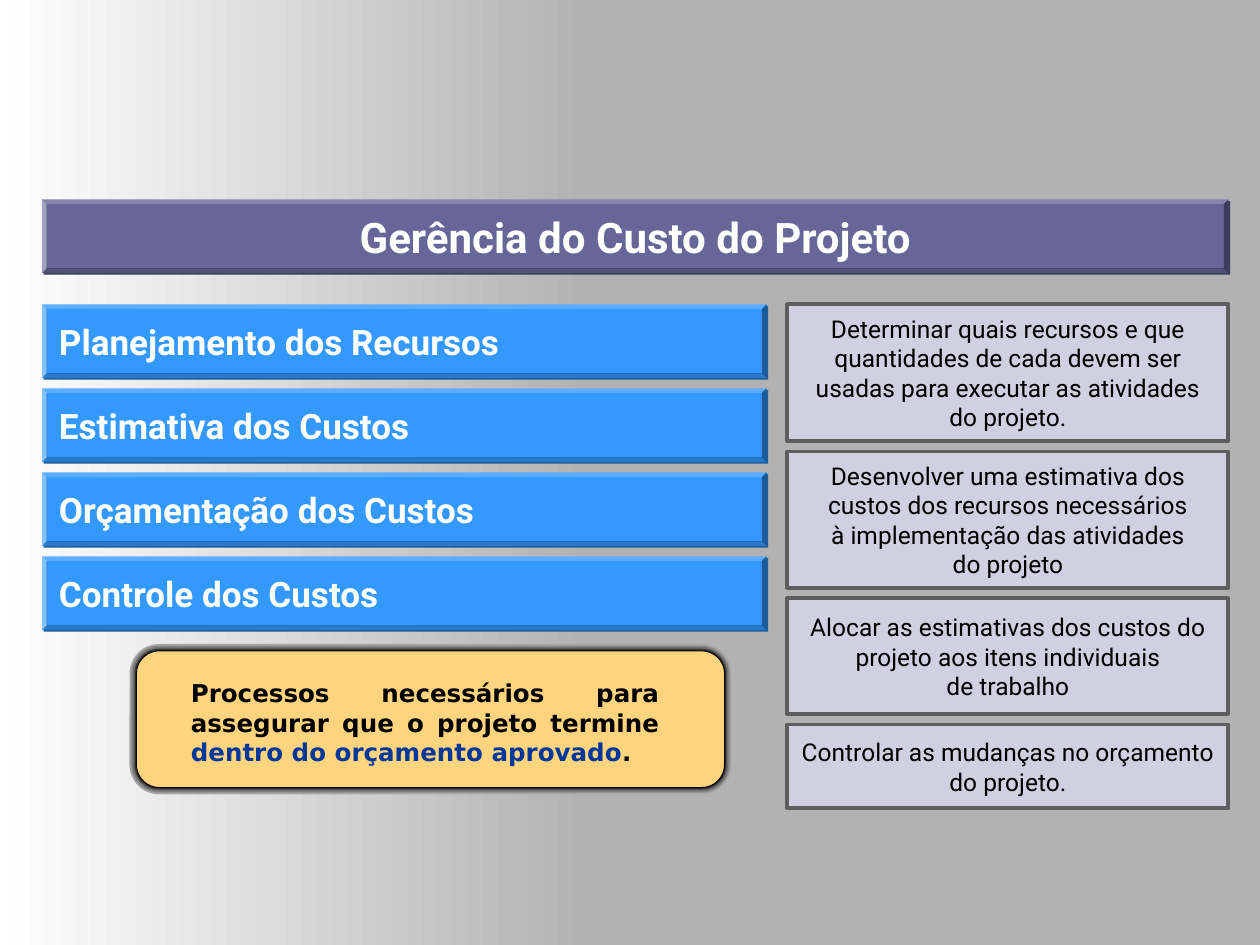
from lxml import etree
from pptx import Presentation
from pptx import util as u
from pptx.dml.color import RGBColor
from pptx.enum import shapes, text
from pptx.oxml import ns

WHITE = RGBColor(0xFF, 0xFF, 0xFF)
BLACK = RGBColor(0x00, 0x00, 0x00)
GREY = RGBColor(0xB2, 0xB2, 0xB2)
PURPLE = RGBColor(0x66, 0x66, 0x99)
PURPLE_SHADE = RGBColor(0x3D, 0x3D, 0x5C)
BLUE = RGBColor(0x33, 0x99, 0xFF)
BLUE_SHADE = RGBColor(0x1F, 0x5C, 0x99)
LILAC = RGBColor(0xD0, 0xD0, 0xE0)
FRAME = RGBColor(0x5E, 0x5E, 0x5E)
GREEN = RGBColor(0x00, 0xCC, 0x99)
AMBER = RGBColor(0xFF, 0xD4, 0x7F)
NAVY = RGBColor(0x00, 0x37, 0x9A)

LEFT, RIGHT = 24, 702
BAR_HEIGHT, BAR_PITCH = 42, 48
COLUMN_TOP, COLUMN_LEFT, COLUMN_GAP = 174, 450, 6

PROCESSES = [
    "Planejamento dos Recursos",
    "Estimativa dos Custos",
    "Orçamentação dos Custos",
    "Controle dos Custos",
]

# Box height and its lines
DESCRIPTIONS = [
    (78, ["Determinar quais recursos e que", "quantidades de cada devem ser",
          "usadas para executar as atividades", "do projeto."]),
    (78, ["Desenvolver uma estimativa dos", "custos dos recursos necessários",
          "à implementação das atividades", "do projeto"]),
    (66, ["Alocar as estimativas dos custos do", "projeto aos itens individuais",
          "de trabalho"]),
    (48, ["Controlar as mudanças no orçamento", "do projeto."]),
]

# Line width and colour, from the outer glow to the inner edge
GLOW = [(8, 0xA7), (6, 0x8A), (4.5, 0x72), (3, 0x5E), (2.25, 0x40), (1.5, 0x29)]


def write(paragraph, wording, size=14, font="Roboto", color=BLACK, bold=False,
          align=text.PP_ALIGN.LEFT):
    paragraph.alignment = align
    run = paragraph.add_run()
    run.text = wording
    run.font.size = u.Pt(size)
    run.font.name = font
    run.font.bold = bold
    run.font.color.rgb = color


class CostSlide:
    """Holds the slide and draws each kind of element in its style."""

    def __init__(self, slide):
        self.slide = slide

    def shape(self, kind, box, fill, line=None, width=0, parent=None):
        owner = parent or self.slide
        drawn = owner.shapes.add_shape(kind, *map(u.Pt, box))
        drawn.shadow.inherit = False
        drawn.fill.solid()
        drawn.fill.fore_color.rgb = fill
        if line is None:
            drawn.line.fill.background()
        else:
            drawn.line.color.rgb = line
            drawn.line.width = u.Pt(width)
        return drawn

    def frame(self, holder):
        frame = holder.text_frame
        frame.word_wrap = False
        frame.auto_size = text.MSO_AUTO_SIZE.NONE
        frame.vertical_anchor = text.MSO_ANCHOR.MIDDLE
        return frame

    def backdrop(self):
        background = self.slide.background.fill
        background.solid()
        background.fore_color.rgb = GREY
        fade = self.shape(shapes.MSO_SHAPE.RECTANGLE, (0, 0, 336, 540), GREY)
        fade.fill.gradient()
        fade.fill.gradient_angle = 0
        for stop, color in zip(fade.fill.gradient_stops, (WHITE, GREY)):
            stop.color.rgb = color

    def bar(self, box, fill, shade):
        bar = self.shape(shapes.MSO_SHAPE.BEVEL, box, fill)
        bar.adjustments[0] = 0.0625
        effects = bar.element.spPr.find(ns.qn("a:effectLst"))
        shadow = etree.SubElement(effects, ns.qn("a:outerShdw"), dist=str(u.Pt(1.4)),
                                  dir="2700000", algn="ctr", rotWithShape="0")
        etree.SubElement(shadow, ns.qn("a:srgbClr"), val=str(shade))
        return bar

    def title(self, wording):
        box = (LEFT, 114, RIGHT - LEFT, BAR_HEIGHT)
        self.bar(box, PURPLE, PURPLE_SHADE)
        title = self.slide.shapes.title
        title.left, title.top, title.width, title.height = map(u.Pt, box)
        write(self.frame(title).paragraphs[0], wording, size=24, color=WHITE, bold=True,
              align=text.PP_ALIGN.CENTER)
        # Bring the title in front of its bar
        self.slide.shapes.element.append(title.element)

    def process(self, top, wording):
        bar = self.bar((LEFT, top, 414, BAR_HEIGHT), BLUE, BLUE_SHADE)
        write(self.frame(bar).paragraphs[0], wording, size=20, color=WHITE, bold=True)

    def description(self, top, height, lines):
        box = self.shape(shapes.MSO_SHAPE.RECTANGLE,
                         (COLUMN_LEFT, top, RIGHT - COLUMN_LEFT, height), LILAC, FRAME, 2.25)
        frame = self.frame(box)
        for index, line in enumerate(lines):
            paragraph = frame.add_paragraph() if index else frame.paragraphs[0]
            write(paragraph, line, align=text.PP_ALIGN.CENTER)

    def glowing_panel(self, box):
        panel = self.slide.shapes.add_group_shape()
        layers = [(GREEN, RGBColor(tone, tone, tone), width) for width, tone in GLOW]
        for fill, line, width in layers + [(AMBER, BLACK, 0.5)]:
            self.shape(shapes.MSO_SHAPE.ROUNDED_RECTANGLE, box, fill, line, width, panel)

    def purpose(self, box, runs):
        frame = self.slide.shapes.add_textbox(*map(u.Pt, box)).text_frame
        frame.word_wrap = True
        for wording, color in runs:
            write(frame.paragraphs[0], wording, font="DejaVu Sans", color=color, bold=True,
                  align=text.PP_ALIGN.JUSTIFY)


def main():
    deck = Presentation()
    deck.slide_width, deck.slide_height = u.Pt(720), u.Pt(540)
    page = CostSlide(deck.slides.add_slide(deck.slide_layouts.get_by_name("Title Only")))

    # Background and heading
    page.backdrop()
    page.title("Gerência do Custo do Projeto")

    # Processes on the left
    for row, process in enumerate(PROCESSES):
        page.process(COLUMN_TOP + row * BAR_PITCH, process)

    # Descriptions on the right
    top = COLUMN_TOP
    for height, lines in DESCRIPTIONS:
        page.description(top, height, lines)
        top += height + COLUMN_GAP

    # Purpose panel
    page.glowing_panel((78, 372, 336, 78))
    page.purpose((102, 384, 282, 57.6), [
        ("Processos necessários para assegurar que o projeto termine ", BLACK),
        ("dentro do orçamento aprovado", NAVY),
        (".", BLACK),
    ])

    deck.save("out.pptx")


if __name__ == "__main__":
    main()
